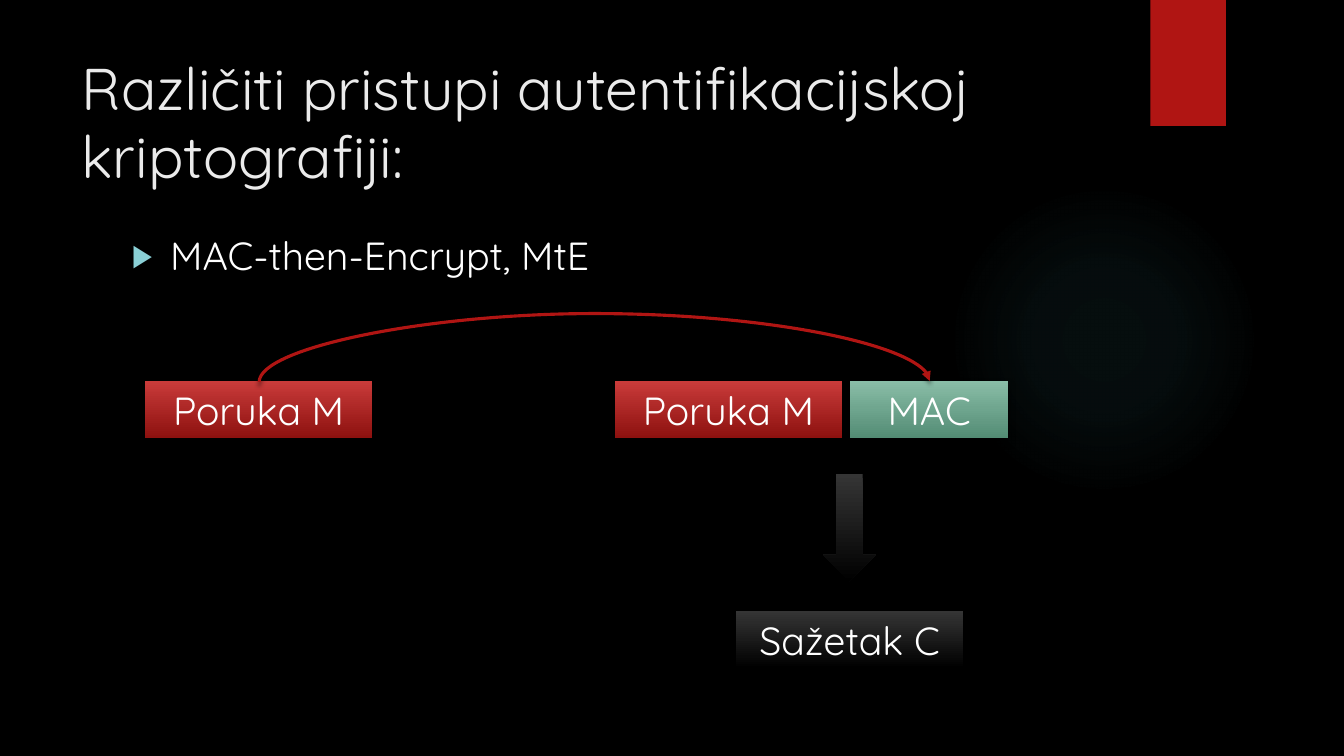
from dataclasses import dataclass

from lxml import etree
from pptx import Presentation, util as u
from pptx.dml.color import RGBColor
from pptx.enum import shapes, text
from pptx.oxml import parse_xml
from pptx.oxml.ns import qn

FONT = "Quicksand"
COLORS = {
    "background": "000000", "shadow": "000000", "title": "EBEBEB", "body": "FFFFFF",
    "accent": "B01513", "bullet": "8AD0D6", "glow": "50B9C1",
}
GRADIENTS = {
    "red": ("C93B3A", "8D110F"),
    "green": ("89BDA7", "538C74"),
    "black": ("353535", "000000"),
}
GLOW_STOPS = ((0, 7), (36, 6), (69, 0))
RECT, ARROW = shapes.MSO_SHAPE.RECTANGLE, shapes.MSO_SHAPE.DOWN_ARROW
A_NS = "http://schemas.openxmlformats.org/drawingml/2006/main"


@dataclass(frozen=True)
class Step:
    """One gradient-filled part of the encryption scheme."""
    label: str
    left: float
    top: float
    width: float
    height: float
    gradient: str
    kind: shapes.MSO_SHAPE = RECT


ROW_TOP, BOX_WIDTH, BOX_HEIGHT = 3.78, 2.25, 0.57
BOXES = (
    Step("Poruka M", 1.44, ROW_TOP, BOX_WIDTH, BOX_HEIGHT, "red"),
    Step("MAC", 8.43, ROW_TOP, 1.57, BOX_HEIGHT, "green"),
    Step("Sažetak C", 7.3, 6.06, BOX_WIDTH, BOX_HEIGHT, "black"),
    Step("Poruka M", 6.1, ROW_TOP, BOX_WIDTH, BOX_HEIGHT, "red"),
)
ENCRYPTION = Step("", 8.16, 4.7, 0.53, 1.07, "black", ARROW)


def rgb(name: str) -> RGBColor:
    """Return a named colour."""
    return RGBColor.from_string(COLORS[name])


def inches(*lengths: float) -> list:
    """Convert lengths to Inches."""
    return [u.Inches(length) for length in lengths]


def add_shadow(effects, alpha: int, blur: int, distance: int) -> None:
    """Add a downward shadow to an effect list."""
    shadow = etree.SubElement(
        effects, qn("a:outerShdw"), blurRad=str(u.Pt(blur)), dist=str(u.Pt(distance)),
        dir="5400000", rotWithShape="0")
    color = etree.SubElement(shadow, qn("a:srgbClr"), val=COLORS["shadow"])
    etree.SubElement(color, qn("a:alpha"), val=str(alpha * 1000))


def add_plain(slide, kind, left: float, top: float, width: float, height: float):
    """Add a preset shape without outline or shadow."""
    shape = slide.shapes.add_shape(kind, *inches(left, top, width, height))
    shape.line.fill.background()
    shape.shadow.inherit = False
    return shape


def write(shape, content: str, *, size: float, color: str = "body",
          align=text.PP_ALIGN.LEFT, anchor=text.MSO_ANCHOR.TOP, spacing: float = 1.0):
    """Write one formatted paragraph and return it."""
    frame = shape.text_frame
    frame.word_wrap = True
    frame.vertical_anchor = anchor
    paragraph = frame.paragraphs[0]
    paragraph.alignment = align
    paragraph.line_spacing = spacing
    run = paragraph.add_run()
    run.text = content
    run.font.name, run.font.size = FONT, u.Pt(size)
    run.font.color.rgb = rgb(color)
    return paragraph


def add_bullet(paragraph) -> None:
    """Give a paragraph a triangular bullet and a hanging indent."""
    indent = u.Inches(0.38)
    props = paragraph._p.get_or_add_pPr()
    props.set("marL", str(indent))
    props.set("indent", str(-indent))
    color = etree.SubElement(props, qn("a:buClr"))
    etree.SubElement(color, qn("a:srgbClr"), val=COLORS["bullet"])
    etree.SubElement(props, qn("a:buSzPct"), val="80000")
    etree.SubElement(props, qn("a:buFont"), typeface="Arial")
    etree.SubElement(props, qn("a:buChar"), char="▶")


def add_glow(slide) -> None:
    """Add the faint radial glow behind the content."""
    glow = add_plain(slide, shapes.MSO_SHAPE.OVAL, 9.41, 1.83, 3.08, 3.08)
    glow.fill.gradient()
    stops = "".join(
        f'<a:gs pos="{place * 1000}"><a:srgbClr val="{COLORS["glow"]}">'
        f'<a:alpha val="{alpha * 1000}"/></a:srgbClr></a:gs>'
        for place, alpha in GLOW_STOPS)
    radial = parse_xml(
        f'<a:gradFill xmlns:a="{A_NS}" rotWithShape="1"><a:gsLst>{stops}</a:gsLst>'
        '<a:path path="circle"><a:fillToRect l="50000" t="50000" r="50000" b="50000"/>'
        '</a:path></a:gradFill>')
    props = glow._element.spPr
    props.replace(props.find(qn("a:gradFill")), radial)


def add_ribbon(slide) -> None:
    """Add the red tab at the top edge."""
    ribbon = add_plain(slide, RECT, 11.41, 0, 0.75, 1.25)
    ribbon.fill.solid()
    ribbon.fill.fore_color.rgb = rgb("accent")
    add_shadow(ribbon._element.spPr.find(qn("a:effectLst")), 45, 3, 2)


def add_step(slide, step: Step) -> None:
    """Draw one part of the scheme with its label."""
    shape = add_plain(slide, step.kind, step.left, step.top, step.width, step.height)
    shape.fill.gradient()
    shape.fill.gradient_angle = 270
    for stop, color, place in zip(shape.fill.gradient_stops, GRADIENTS[step.gradient], (0, 1)):
        stop.color.rgb = RGBColor.from_string(color)
        stop.position = place
    add_shadow(shape._element.spPr.find(qn("a:effectLst")), 60, 5, 3)
    if step.label:
        write(shape, step.label, size=28, align=text.PP_ALIGN.CENTER,
              anchor=text.MSO_ANCHOR.MIDDLE)


def add_mac_arc(slide) -> None:
    """Draw the curved arrow from the message to its MAC."""
    # The quarter turn swaps the axes: a thin tall connector becomes a wide arc.
    arc = slide.shapes.add_connector(
        shapes.MSO_CONNECTOR.CURVE, *inches(5.9, 7.11, 5.89, 0.46))
    arc.line.color.rgb = rgb("accent")
    arc.line.width = u.Pt(2.25)
    props = arc._element.spPr
    props.find(qn("a:xfrm")).set("rot", "5400000")
    guides = props.find(qn("a:prstGeom")).get_or_add_avLst()
    rise, thickness = 0.69, 0.01
    etree.SubElement(guides, qn("a:gd"), name="adj1",
                     fmla=f"val {round(rise / thickness * 100000)}")
    etree.SubElement(props.find(qn("a:ln")), qn("a:tailEnd"), type="triangle")
    add_shadow(etree.SubElement(props, qn("a:effectLst")), 45, 3, 2)


def main() -> None:
    """Build and save the slide."""
    deck = Presentation()
    deck.slide_width, deck.slide_height = inches(13.33, 7.5)
    slide = deck.slides.add_slide(deck.slide_layouts[6])
    slide.background.fill.solid()
    slide.background.fill.fore_color.rgb = rgb("background")

    add_glow(slide)
    add_ribbon(slide)
    title = slide.shapes.add_textbox(*inches(0.71, 0.5, 10.29, 1.53))
    write(title, "Različiti pristupi autentifikacijskoj kriptografiji:",
          size=42, color="title", spacing=0.97)
    approach = slide.shapes.add_textbox(*inches(1.21, 2.25, 9.78, 0.62))
    add_bullet(write(approach, "MAC-then-Encrypt, MtE", size=28))
    for box in BOXES:
        add_step(slide, box)
    add_mac_arc(slide)
    add_step(slide, ENCRYPTION)
    deck.save("out.pptx")


main()
